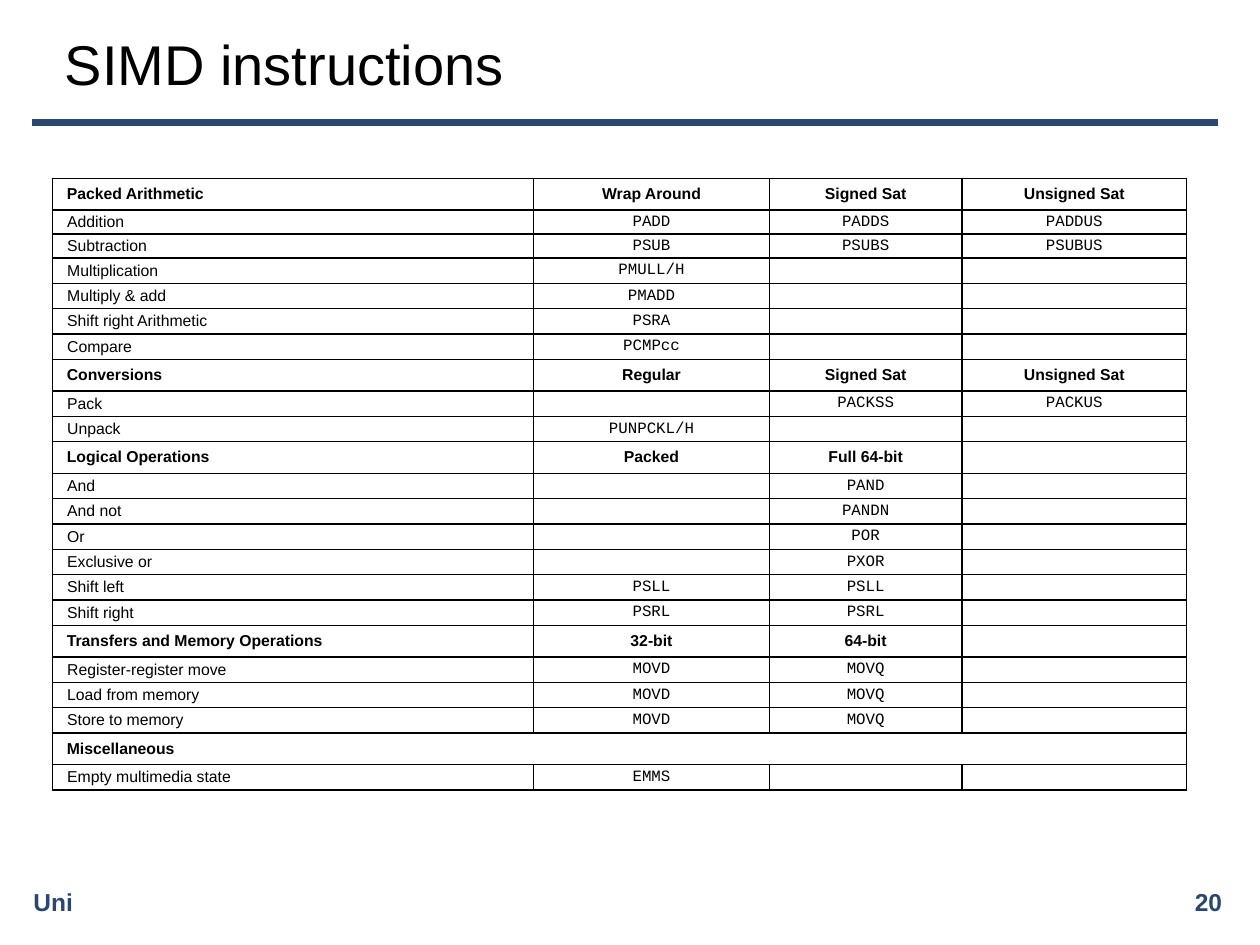
from pptx import Presentation
from pptx import util as u
from pptx.dml.color import RGBColor
from pptx.enum import shapes, text
from pptx.oxml.xmlchemy import OxmlElement

COLOURS = {"ink": "000000", "accent": "2A476F"}
HEADER, BODY, TIGHT = 18, 14.5, 13.7
COLUMNS = [275, 134.6, 110.2, 128.2]
SECTIONS = [
    (["Packed Arithmetic", "Wrap Around", "Signed Sat", "Unsigned Sat"], [
        ["Addition", "PADD", "PADDS", "PADDUS"],
        ["Subtraction", "PSUB", "PSUBS", "PSUBUS"],
        ["Multiplication", "PMULL/H", "", ""],
        ["Multiply & add", "PMADD", "", ""],
        ["Shift right Arithmetic", "PSRA", "", ""],
        ["Compare", "PCMPcc", "", ""]]),
    (["Conversions", "Regular", "Signed Sat", "Unsigned Sat"], [
        ["Pack", "", "PACKSS", "PACKUS"],
        ["Unpack", "PUNPCKL/H", "", ""]]),
    (["Logical Operations", "Packed", "Full 64-bit", ""], [
        ["And", "", "PAND", ""],
        ["And not", "", "PANDN", ""],
        ["Or", "", "POR", ""],
        ["Exclusive or", "", "PXOR", ""],
        ["Shift left", "PSLL", "PSLL", ""],
        ["Shift right", "PSRL", "PSRL", ""]]),
    (["Transfers and Memory Operations", "32-bit", "64-bit", ""], [
        ["Register-register move", "MOVD", "MOVQ", ""],
        ["Load from memory", "MOVD", "MOVQ", ""],
        ["Store to memory", "MOVD", "MOVQ", ""]]),
    (["Miscellaneous"], [
        ["Empty multimedia state", "EMMS", "", ""]]),
]


class Slide:
    """Holds the style and the current page, and draws each kind of element."""

    def __init__(self, page):
        self.page = page
        self.sans, self.mono = "Arial", "Courier New"
        self.cell_size = 9

    def span(self, para, words, size, colour="ink", bold=False, font=None):
        span = para.add_run()
        span.text = words
        span.font.size = u.Pt(size)
        span.font.name = font or self.sans
        span.font.bold = bold
        span.font.color.rgb = RGBColor.from_string(COLOURS[colour])

    def label(self, words, left, top, width, height, size, align="LEFT", **style):
        box = self.page.shapes.add_textbox(*map(u.Pt, (left, top, width, height)))
        frame = box.text_frame
        frame.word_wrap = True
        frame.vertical_anchor = text.MSO_ANCHOR.MIDDLE
        para = frame.paragraphs[0]
        para.alignment = text.PP_ALIGN[align]
        self.span(para, words, size, **style)

    def rule(self, left, right, y, weight):
        line = self.page.shapes.add_connector(
            shapes.MSO_CONNECTOR.STRAIGHT, *map(u.Pt, (left, y, right, y)))
        line.line.width = u.Pt(weight)
        line.line.color.rgb = RGBColor.from_string(COLOURS["accent"])
        line._element.spPr.append(OxmlElement("a:effectLst"))

    def borders(self, cell):
        properties = cell._tc.get_or_add_tcPr()
        for side in ("lnL", "lnR", "lnT", "lnB"):
            edge = OxmlElement(f"a:{side}")
            edge.set("w", str(u.Pt(1)))
            fill, colour = OxmlElement("a:solidFill"), OxmlElement("a:srgbClr")
            colour.set("val", COLOURS["ink"])
            fill.append(colour)
            edge.append(fill)
            properties.append(edge)

    def cell(self, cell, words, first, header):
        self.borders(cell)
        cell.fill.background()
        cell.vertical_anchor = text.MSO_ANCHOR.MIDDLE
        cell.margin_left = cell.margin_right = u.Pt(8.2 if header else 8.4)
        cell.margin_top = cell.margin_bottom = u.Pt(3.6 if header else 1.4)
        para = cell.text_frame.paragraphs[0]
        para.alignment = text.PP_ALIGN.LEFT if first else text.PP_ALIGN.CENTER
        hanging = para._p.get_or_add_pPr()
        hanging.set("marL", str(u.Pt(27)))
        hanging.set("indent", str(u.Pt(-27)))
        if words:
            font = self.sans if first or header else self.mono
            self.span(para, words, self.cell_size, bold=header, font=font)
        else:
            end = OxmlElement("a:endParaRPr")
            end.set("sz", str(self.cell_size * 100))
            para._p.append(end)

    def table(self, sections, left, top, columns):
        rows = [(row, row is head) for head, body in sections for row in [head, *body]]
        heights = [HEADER if header else TIGHT if index in (1, 2) else BODY
                   for index, (_, header) in enumerate(rows)]
        grid = self.page.shapes.add_table(
            len(rows), len(columns),
            *map(u.Pt, (left, top, sum(columns), sum(heights)))).table
        grid.first_row = grid.horz_banding = False
        for column, width in zip(grid.columns, columns):
            column.width = u.Pt(width)
        for index, (row, header) in enumerate(rows):
            grid.rows[index].height = u.Pt(heights[index])
            for place in range(len(columns)):
                words = row[place] if place < len(row) else ""
                self.cell(grid.cell(index, place), words, place == 0, header)
            if len(row) == 1:
                grid.cell(index, 0).merge(grid.cell(index, len(columns) - 1))


def main():
    deck = Presentation()
    deck.slide_width, deck.slide_height = u.Pt(720), u.Pt(540)
    slide = Slide(deck.slides.add_slide(deck.slide_layouts[6]))
    slide.rule(18, 696, 70, 4.5)
    footer = dict(top=504, width=279.4, height=22.3, size=14, colour="accent", bold=True)
    slide.label("20", left=426, align="RIGHT", **footer)
    slide.label("Uni", left=12, **footer)
    slide.label("SIMD instructions", 30, 12, 630, 48, 32)
    slide.table(SECTIONS, 30, 102, COLUMNS)
    deck.save("out.pptx")


if __name__ == "__main__":
    main()
